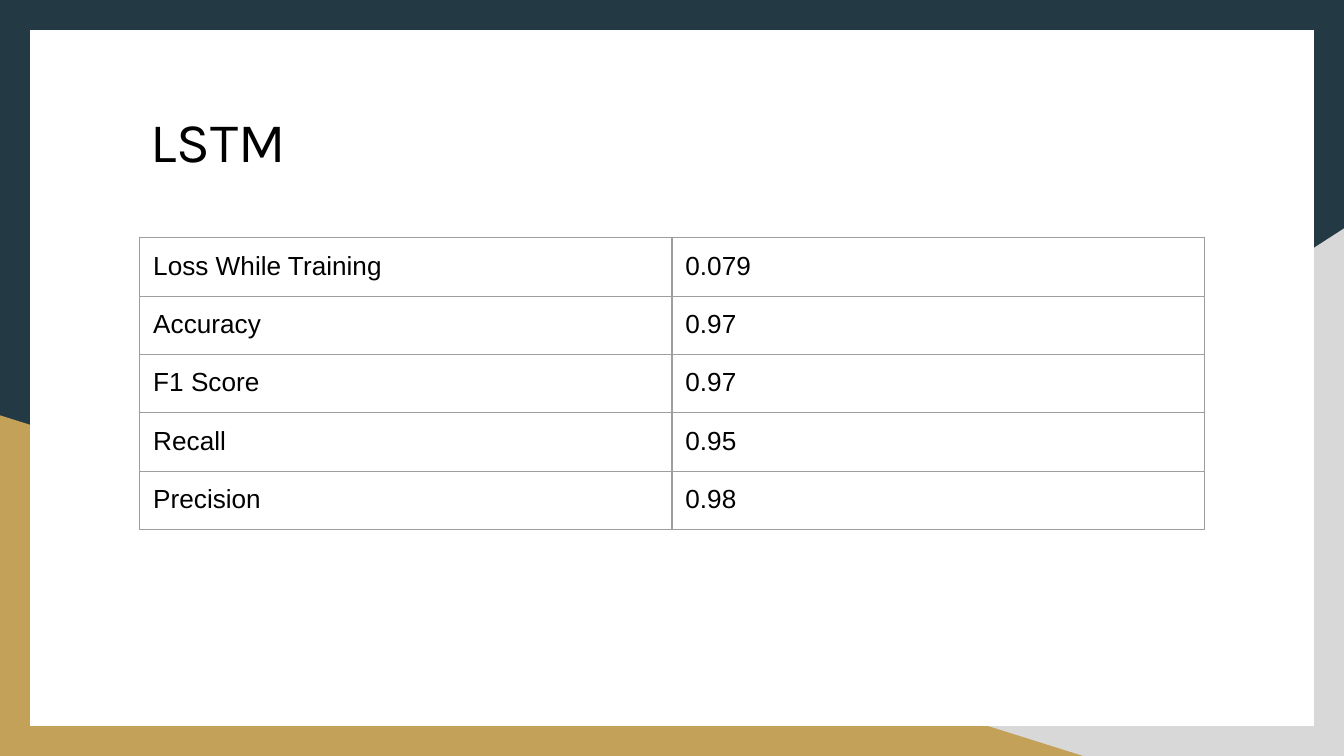
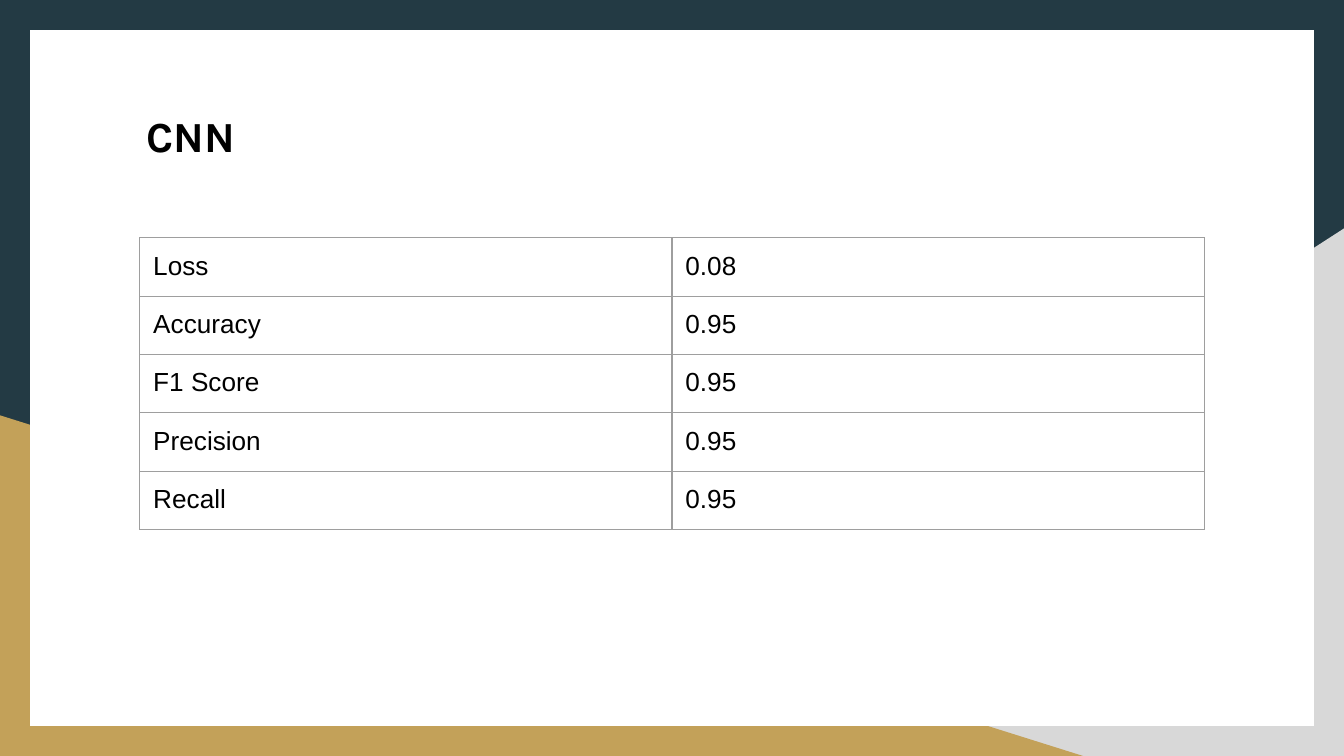
from lxml.etree import SubElement
from pptx import Presentation
from pptx.dml.color import RGBColor
from pptx.oxml.ns import qn
from pptx.util import Inches, Pt

NAVY = RGBColor(0x23, 0x3A, 0x44)
SILVER = RGBColor(0xD8, 0xD8, 0xD8)
GOLD = RGBColor(0xC3, 0xA1, 0x59)
WHITE = RGBColor(0xFF, 0xFF, 0xFF)
BLACK = RGBColor(0x00, 0x00, 0x00)
GREY = RGBColor(0x9E, 0x9E, 0x9E)

WIDE = 10
HIGH = WIDE * 9 / 16
EDGE = HIGH / 25
RIGHT, FOOT = WIDE - EDGE, HIGH - EDGE
BANDS = [
    (NAVY, [(0, 0), (WIDE, 0), (WIDE, HIGH), (0, HIGH)]),
    (SILVER, [(WIDE, HIGH), (3.92, HIGH), (WIDE, 1.7)]),
    (GOLD, [(8.06, HIGH), (0, HIGH), (0, 3.09)]),
    (WHITE, [(EDGE, EDGE), (RIGHT, EDGE), (RIGHT, FOOT), (EDGE, FOOT)]),
]
CELL = {"name": "Arial", "size": Pt(14), "bold": False}

# Title, its box, the drop from the box top, its font, and the scores
PAGES = [
    ("LSTM", (1.12, 0.29, 7.82, 4.72), 0.51,
     {"name": "Karla", "size": Pt(30), "bold": False},
     [("Loss While Training", "0.079"), ("Accuracy", "0.97"),
      ("F1 Score", "0.97"), ("Recall", "0.95"), ("Precision", "0.98")]),
    ("CNN", (1.09, 0.42, 7.82, 4.48), 0.4,
     {"name": "Karla", "size": Pt(23), "bold": True},
     [("Loss", "0.08"), ("Accuracy", "0.95"),
      ("F1 Score", "0.95"), ("Precision", "0.95"), ("Recall", "0.95")]),
]


def write(frame, text, style):
    run = frame.paragraphs[0].add_run()
    run.text = text
    run.font.color.rgb = BLACK
    for key, value in style.items():
        setattr(run.font, key, value)


def edge(cell):
    """Draw a thin grey line on all four sides of a cell."""
    props = cell._tc.get_or_add_tcPr()
    for spot, side in enumerate(("a:lnL", "a:lnR", "a:lnT", "a:lnB")):
        line = SubElement(props, qn(side), w=str(Pt(0.75)))
        fill = SubElement(line, qn("a:solidFill"))
        SubElement(fill, qn("a:srgbClr"), val=str(GREY))
        props.insert(spot, line)


deck = Presentation()
deck.slide_width, deck.slide_height = Inches(WIDE), Inches(HIGH)

for title, box, drop, font, scores in PAGES:
    slide = deck.slides.add_slide(deck.slide_layouts[6])

    for tint, points in BANDS:
        first, *rest = [(Inches(x), Inches(y)) for x, y in points]
        trace = slide.shapes.build_freeform(*first)
        trace.add_line_segments(rest, close=True)
        band = trace.convert_to_shape()
        band.shadow.inherit = False
        band.fill.solid()
        band.fill.fore_color.rgb = tint
        band.line.fill.background()

    frame = slide.shapes.add_textbox(*map(Inches, box)).text_frame
    frame.word_wrap = True
    frame.margin_left = frame.margin_right = frame.margin_bottom = 0
    frame.margin_top = Inches(drop)
    write(frame, title, font)

    grid = slide.shapes.add_table(
        len(scores), 2, Inches(1.04), Inches(1.77),
        Inches(7.92), Inches(2.17))
    table = grid.table
    table.first_row = table.horz_banding = False
    for row, score in enumerate(scores):
        table.rows[row].height = Inches(5 / 12)
        for col, text in enumerate(score):
            cell = table.cell(row, col)
            cell.fill.background()
            for side in ("left", "right", "top", "bottom"):
                setattr(cell, "margin_" + side, Inches(0.1))
            write(cell.text_frame, text, CELL)
            edge(cell)
    grid.height = Inches(2.17)

deck.save("out.pptx")
